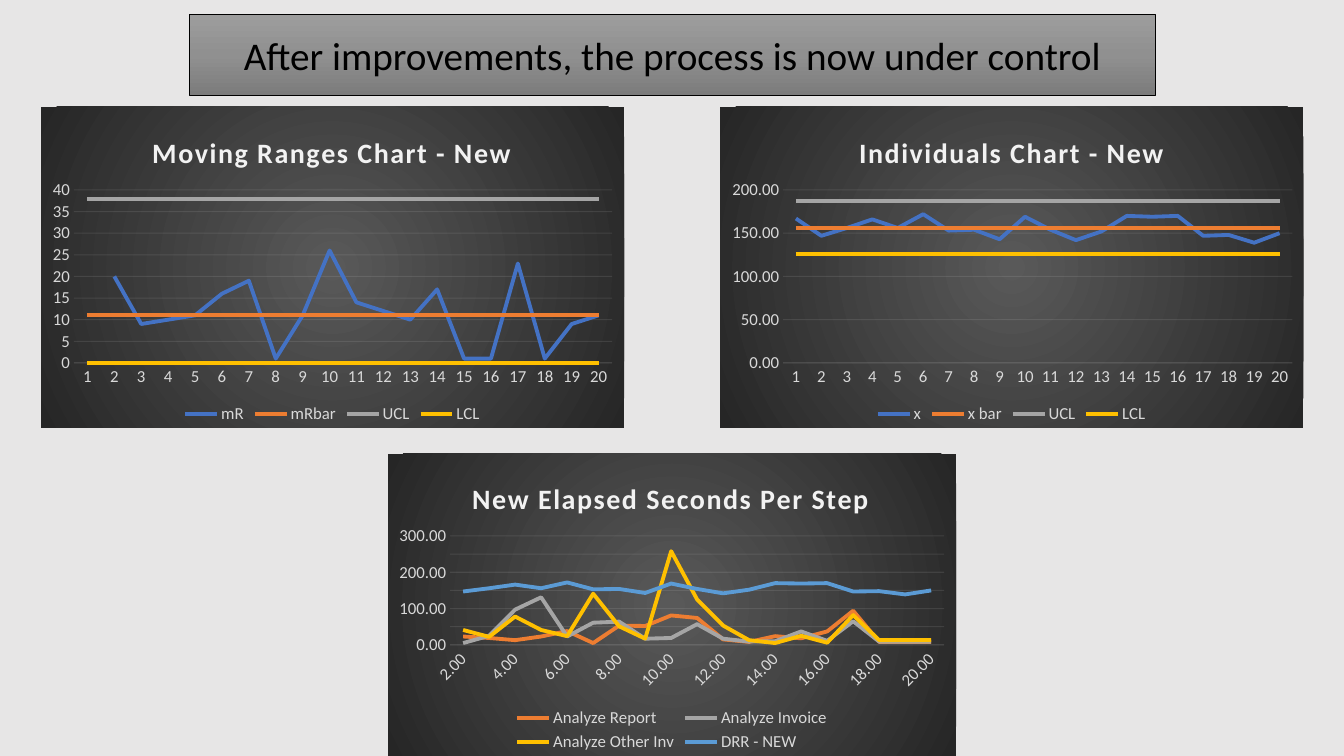
import pptx
import pptx.util
import pptx.oxml
import pptx.oxml.ns
import pptx.chart.data
import pptx.dml.color
import pptx.enum.chart
import pptx.enum.text

TITLE = "After improvements, the process is now under control"
HEAD = (189, 14, 966, 81)
RUNS = [147, 156, 166, 156, 172, 153, 154, 143, 169, 154,
        142, 152, 170, 169, 170, 147, 148, 139, 150]
DAYS = [str(n) for n in range(1, 21)]
STEPS = [f"{n:.2f}" for n in range(2, 21)]

THEME = {
    "font": "Calibri", "page": "E7E6E6", "ink": "000000",
    "pale": "F2F2F2", "label": "D9D9D9",
    "head": [(0, "9D9D9D"), (50, "909090"), (100, "7C7C7C")],
    "panel": [(0, "595959"), (100, "262626")],
    "blue": "4472C4", "orange": "ED7D31", "grey": "A5A5A5",
    "gold": "FFC000", "sky": "5B9BD5",
    "title": 28, "name": 20, "text": 12, "thick": 2.75, "thin": 0.75, "edge": 0.5,
}

CHARTS = [
    {"name": "Moving Ranges Chart - New", "box": (41, 107, 583, 321),
     "text": (147, 128), "plot": (74, 190, 538, 173),
     "cats": DAYS, "top": 40, "step": 5, "form": "0", "turn": 0,
     "rows": [
         ("mR", "blue", [None, 20, 9, 10, 11, 16, 19, 1, 11, 26,
                         14, 12, 10, 17, 1, 1, 23, 1, 9, 11]),
         ("mRbar", "orange", [11] * 20),
         ("UCL", "grey", [38] * 20),
         ("LCL", "gold", [0] * 20)]},
    {"name": "Individuals Chart - New", "box": (720, 107, 583, 321),
     "text": (854, 128), "plot": (783, 190, 509, 173),
     "cats": DAYS, "top": 200, "step": 50, "form": "0.00", "turn": 0,
     "rows": [
         ("x", "blue", [167] + RUNS),
         ("x bar", "orange", [156] * 20),
         ("UCL", "grey", [187] * 20),
         ("LCL", "gold", [126] * 20)]},
    {"name": "New Elapsed Seconds Per Step", "box": (388, 454, 568, 302),
     "text": (467, 474), "plot": (450, 536, 494, 109),
     "cats": STEPS, "top": 300, "step": 50, "form": "0.00", "turn": -45,
     "rows": [
         ("Analyze Report", "orange", [23, 19, 13, 23, 38, 5, 53, 52, 81, 74,
                                       15, 8, 24, 18, 37, 94, 8, 8, 8]),
         ("Analyze Invoice", "grey", [5, 25, 97, 131, 23, 61, 64, 17, 19, 57,
                                      17, 9, 10, 37, 11, 65, 9, 9, 9]),
         ("Analyze Other Inv", "gold", [41, 22, 78, 41, 24, 141, 51, 17, 258, 125,
                                        53, 13, 5, 25, 6, 82, 13, 13, 13]),
         ("DRR - NEW", "sky", RUNS)]},
]

SCALE = 914400 / 100.8
NS = pptx.oxml.ns.nsdecls("a", "c")
SPACE = pptx.oxml.ns.namespaces("a", "c")


def emu(box):
    return [pptx.util.Emu(round(n * SCALE)) for n in box]


def paint(hue):
    return pptx.dml.color.RGBColor.from_string(hue)


def style(font, size, hue, bold=False):
    font.name = THEME["font"]
    font.size = pptx.util.Pt(size)
    font.bold = bold
    font.color.rgb = paint(hue)


def rule(line, hue, width):
    line.color.rgb = paint(hue)
    line.width = pptx.util.Pt(width)


def blend(stops, kind):
    marks = "".join(f'<a:gs pos="{spot * 1000}"><a:srgbClr val="{hue}"/></a:gs>'
                    for spot, hue in stops)
    return f"<a:gradFill {NS}><a:gsLst>{marks}</a:gsLst>{kind}</a:gradFill>"


def place(node, index, spot, box):
    for old in node.findall("c:layout", SPACE):
        node.remove(old)
    left, top, wide, high = box
    parts = [("x", (spot[0] - left) / wide), ("y", (spot[1] - top) / high)]
    inner = ""
    if len(spot) == 4:
        inner = '<c:layoutTarget val="inner"/>'
        parts += [("w", spot[2] / wide), ("h", spot[3] / high)]
    modes = "".join(f'<c:{key}Mode val="edge"/>' for key, _ in parts[:2])
    sizes = "".join(f'<c:{key} val="{part:.4f}"/>' for key, part in parts)
    node.insert(index, pptx.oxml.parse_xml(
        f"<c:layout {NS}><c:manualLayout>{inner}{modes}{sizes}</c:manualLayout></c:layout>"))


def draw(slide, item):
    data = pptx.chart.data.CategoryChartData(number_format=item["form"])
    data.categories = item["cats"]
    for name, _, vals in item["rows"]:
        data.add_series(name, vals)
    chart = slide.shapes.add_chart(
        pptx.enum.chart.XL_CHART_TYPE.LINE, *emu(item["box"]), data).chart
    style(chart.font, THEME["text"], THEME["label"])
    chart.plots[0].vary_by_categories = False
    for line, (_, hue, _) in zip(chart.plots[0].series, item["rows"]):
        line.smooth = False
        rule(line.format.line, THEME[hue], THEME["thick"])

    chart.has_title = True
    run = chart.chart_title.text_frame.paragraphs[0].add_run()
    run.text = item["name"]
    style(run.font, THEME["name"], THEME["pale"], True)
    run._r.get_or_add_rPr().set("spc", "100")

    chart.has_legend = True
    chart.legend.position = pptx.enum.chart.XL_LEGEND_POSITION.BOTTOM
    chart.legend.include_in_layout = False
    style(chart.legend.font, THEME["text"], THEME["label"])

    cat, val = chart.category_axis, chart.value_axis
    for axis in (cat, val):
        axis.major_tick_mark = pptx.enum.chart.XL_TICK_MARK.NONE
        axis.minor_tick_mark = pptx.enum.chart.XL_TICK_MARK.NONE
        style(axis.tick_labels.font, THEME["text"], THEME["label"])
    val.minimum_scale, val.maximum_scale = 0, item["top"]
    val.major_unit = item["step"]
    val.has_major_gridlines = True
    val.tick_labels.number_format = item["form"]
    val.tick_labels.number_format_is_linked = False
    val.format.line.fill.background()
    rule(cat.format.line, THEME["pale"], THEME["thin"])
    rule(val.major_gridlines.format.line, THEME["pale"], THEME["thin"])

    root = chart._chartSpace
    for route in (".//c:catAx/c:spPr//a:srgbClr", ".//c:majorGridlines//a:srgbClr"):
        for tint in root.findall(route, SPACE):
            tint.append(pptx.oxml.parse_xml(f'<a:alpha {NS} val="10000"/>'))
    if item["turn"]:
        body = root.find(".//c:catAx/c:txPr/a:bodyPr", SPACE)
        body.set("rot", str(item["turn"] * 60000))
        body.set("vert", "horz")
    place(root.find(".//c:plotArea", SPACE), 0, item["plot"], item["box"])
    place(root.find("c:chart/c:title", SPACE), 1, item["text"], item["box"])
    fill = blend(THEME["panel"], '<a:path path="circle"><a:fillToRect l="50000" '
                 't="50000" r="50000" b="50000"/></a:path>')
    root.find("c:chart", SPACE).addnext(pptx.oxml.parse_xml(
        f"<c:spPr {NS}>{fill}<a:ln><a:noFill/></a:ln></c:spPr>"))


def banner(slide):
    head = slide.shapes.title
    head.left, head.top, head.width, head.height = emu(HEAD)
    shape = head._element.spPr
    shape.append(pptx.oxml.parse_xml(
        f'<a:prstGeom {NS} prst="roundRect"><a:avLst/></a:prstGeom>'))
    shape.append(pptx.oxml.parse_xml(
        blend(THEME["head"], '<a:lin ang="5400000" scaled="0"/>')))
    rule(head.line, THEME["ink"], THEME["edge"])
    frame = head.text_frame
    frame.word_wrap = True
    frame.vertical_anchor = pptx.enum.text.MSO_ANCHOR.MIDDLE
    para = frame.paragraphs[0]
    para.alignment = pptx.enum.text.PP_ALIGN.CENTER
    run = para.add_run()
    run.text = TITLE
    style(run.font, THEME["title"], THEME["ink"])


deck = pptx.Presentation()
deck.slide_width = pptx.util.Inches(13.33)
deck.slide_height = pptx.util.Inches(7.5)
slide = deck.slides.add_slide(deck.slide_layouts[5])
slide.background.fill.solid()
slide.background.fill.fore_color.rgb = paint(THEME["page"])
banner(slide)
for item in CHARTS:
    draw(slide, item)
deck.save("out.pptx")
